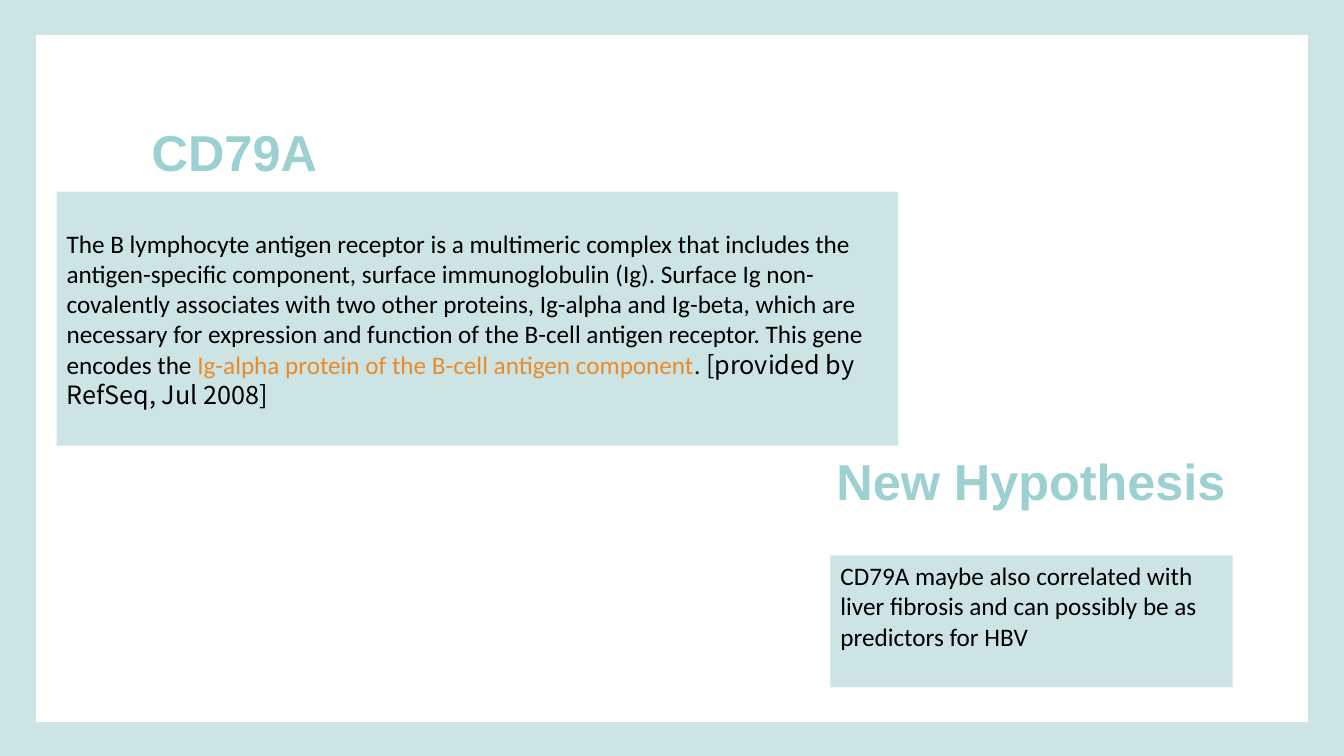
import pptx
import pptx.util
from pptx.dml.color import RGBColor
from pptx.enum.shapes import MSO_SHAPE
from pptx.enum.text import MSO_ANCHOR, PP_ALIGN
from pptx.util import Pt

PALE_TEAL = RGBColor(0xCD, 0xE4, 0xE4)
TEAL = RGBColor(0x9C, 0xD0, 0xD1)
ORANGE = RGBColor(0xEB, 0x8A, 0x29)
WHITE = RGBColor(0xFF, 0xFF, 0xFF)
BLACK = RGBColor(0, 0, 0)

RECEPTOR = (
    "The B lymphocyte antigen receptor is a multimeric complex that includes "
    "the antigen-specific component, surface immunoglobulin (Ig). Surface Ig "
    "non-covalently associates with two other proteins, Ig-alpha and Ig-beta, "
    "which are necessary for expression and function of the B-cell antigen "
    "receptor. This gene encodes the"
)
HYPOTHESIS = (
    "CD79A maybe also correlated with liver fibrosis and can possibly be as "
    "predictors for HBV"
)


def add_run(p, text, *, size=18, font="Calibri", color=BLACK, bold=False):
    r = p.add_run()
    r.text = text
    r.font.size = Pt(size)
    r.font.name = font
    r.font.color.rgb = color
    r.font.bold = bold


def add_rect(slide, left, top, width, height, fill):
    sp = slide.shapes.add_shape(
        MSO_SHAPE.RECTANGLE, Pt(left), Pt(top), Pt(width), Pt(height))
    sp.shadow.inherit = False
    sp.fill.solid()
    sp.fill.fore_color.rgb = fill
    sp.line.fill.background()
    return sp


def add_heading(slide, text, left, top, width):
    tf = slide.shapes.add_textbox(
        Pt(left), Pt(top), Pt(width), Pt(54)).text_frame
    tf.word_wrap = True
    p = tf.paragraphs[0]
    p.alignment = PP_ALIGN.CENTER
    add_run(p, text, size=36, font="Arial", color=TEAL, bold=True)


def add_panel(slide, left, top, width, height, anchor):
    """Add a tinted text panel and return its paragraph."""
    tf = add_rect(slide, left, top, width, height, PALE_TEAL).text_frame
    tf.word_wrap = True
    tf.vertical_anchor = anchor
    p = tf.paragraphs[0]
    p.alignment = PP_ALIGN.LEFT
    p.line_spacing = Pt(21.6)
    return p


def main():
    prs = pptx.Presentation()
    prs.slide_width, prs.slide_height = Pt(960), Pt(540)
    slide = prs.slides.add_slide(prs.slide_layouts[6])
    slide.background.fill.solid()
    slide.background.fill.fore_color.rgb = PALE_TEAL

    page = add_rect(slide, 24.5, 23.8, 910.8, 493.2, WHITE)
    page.line.color.rgb = PALE_TEAL
    page.line.width = Pt(2)

    add_heading(slide, "CD79A", 47.5, 82.8, 239.8)
    p = add_panel(slide, 40.5, 136.8, 601, 181.5, MSO_ANCHOR.MIDDLE)
    add_run(p, RECEPTOR)
    add_run(p, " Ig-alpha protein of the B-cell antigen component", color=ORANGE)
    add_run(p, ". ")
    add_run(p, "[provided by RefSeq, Jul 2008]", font="Noto Sans CJK SC")

    add_heading(slide, "New Hypothesis", 584.6, 318.2, 303.8)
    p = add_panel(slide, 593.2, 396.7, 287.3, 94.3, MSO_ANCHOR.TOP)
    add_run(p, HYPOTHESIS)

    prs.save("out.pptx")


if __name__ == "__main__":
    main()
